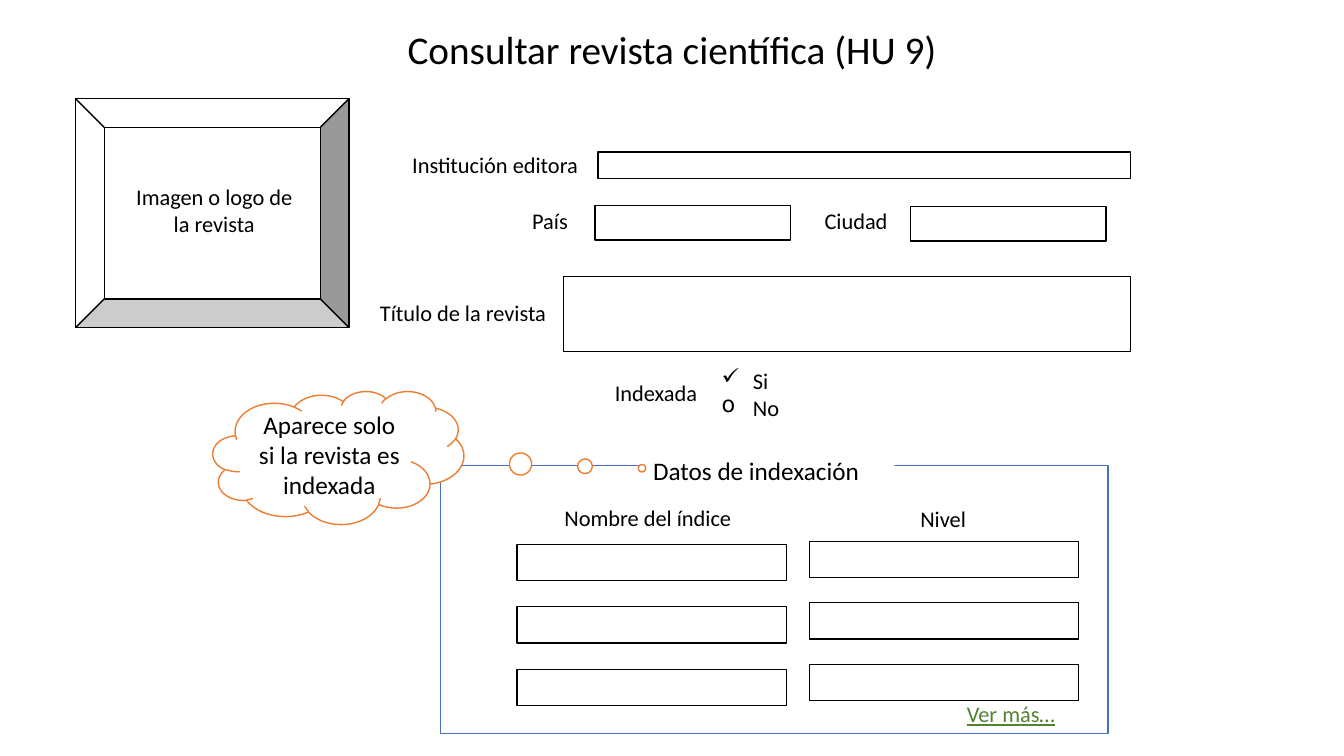
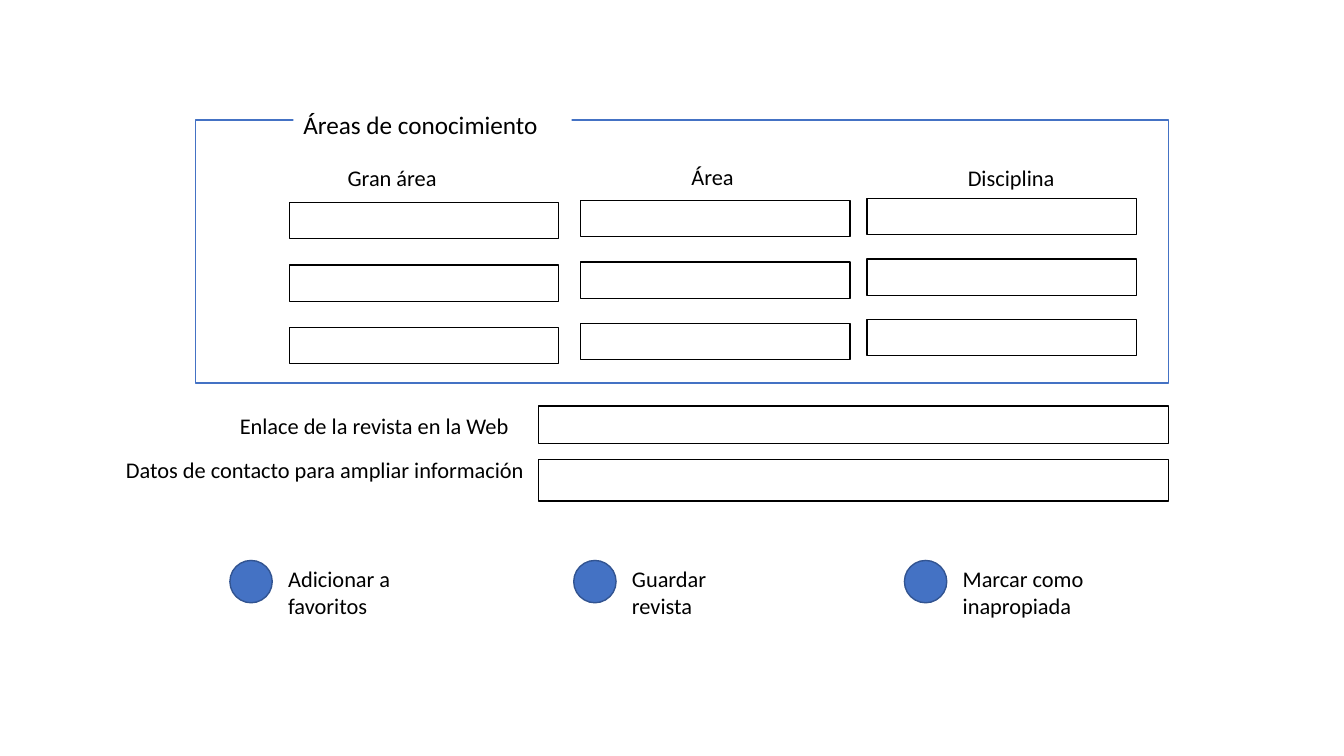
from lxml import etree
from pptx import Presentation
from pptx.dml.color import RGBColor
from pptx.enum.shapes import MSO_SHAPE
from pptx.enum.text import MSO_ANCHOR, MSO_AUTO_SIZE, PP_ALIGN
from pptx.oxml.ns import qn
from pptx.util import Inches, Pt

RECT, OVAL = MSO_SHAPE.RECTANGLE, MSO_SHAPE.OVAL
BEVEL, CLOUD = MSO_SHAPE.BEVEL, MSO_SHAPE.CLOUD_CALLOUT
TOP, MIDDLE = MSO_ANCHOR.TOP, MSO_ANCHOR.MIDDLE
LEFT, CENTER = PP_ALIGN.LEFT, PP_ALIGN.CENTER
NO_AUTOFIT = MSO_AUTO_SIZE.NONE

FONT = "Calibri"
BLACK, WHITE, BLUE, NAVY = "000000", "FFFFFF", "4472C4", "325491"
ORANGE, GREEN = "ED7D31", "548235"
SLIDE_W, SLIDE_H = 13.33, 7.5
TITLE_SIZE, LEGEND_SIZE, LABEL_SIZE = 28, 18, 16
LABEL_H, TWO_LINES_H, LEGEND_H = 0.37, 0.64, 0.4
CELL_W, CELL_H, CELL_ROWS = 2.67, 0.36, 3
DOT, DOT_GAP, ACTION_W = 0.42, 0.06, 1.4


def rgb(color):
    """Turn a hex string into a colour."""
    return RGBColor.from_string(color)


def inches(*lengths):
    """Convert lengths in inches to EMU."""
    return [Inches(n) for n in lengths]


def write(sp, text, size=LABEL_SIZE, color=BLACK, align=LEFT, anchor=TOP):
    """Set and format the text of a shape."""
    tf = sp.text_frame
    tf.text = text
    tf.word_wrap = True
    tf.auto_size = NO_AUTOFIT
    tf.vertical_anchor = anchor
    for p in tf.paragraphs:
        p.alignment = align
        for r in p.runs:
            r.font.name = FONT
            r.font.size = Pt(size)
            r.font.color.rgb = rgb(color)
    return tf


def label(s, box, text, **style):
    """Add a text box."""
    return write(s.shapes.add_textbox(*inches(*box)), text, **style)


def shape(s, box, kind=RECT, fill=WHITE, line=BLACK):
    """Add a flat filled shape, outlined unless line is None."""
    sp = s.shapes.add_shape(kind, *inches(*box))
    sp.shadow.inherit = False
    sp.fill.solid()
    sp.fill.fore_color.rgb = rgb(fill)
    if line:
        sp.line.color.rgb = rgb(line)
        sp.line.width = Pt(1)
    else:
        sp.line.fill.background()
    return sp


def title(s, text):
    """Place the slide title across the full width."""
    sp = s.shapes.title
    sp.left, sp.top, sp.width, sp.height = inches(0, 0.2, SLIDE_W, 0.57)
    write(sp, text, size=TITLE_SIZE, align=CENTER)


def form(s, x, y, rows):
    """Place labels, each with its entry field, from a corner."""
    for text, (lx, ly, lw), (fx, fy, fw, fh) in rows:
        label(s, (x + lx, y + ly, lw, LABEL_H), text)
        shape(s, (x + fx, y + fy, fw, fh))


def group(s, box, legend, legend_x, legend_w, columns):
    """Draw a framed group with a legend and columns of entry cells."""
    x, y = box[:2]
    shape(s, box, line=BLUE)
    sp = shape(s, (x + legend_x, y - 0.15, legend_w, LEGEND_H), line=None)
    write(sp, legend, size=LEGEND_SIZE)
    for heading, hx, hy, hw, cx, cy, pitch in columns:
        label(s, (x + hx, y + hy, hw, LABEL_H), heading)
        for row in range(CELL_ROWS):
            shape(s, (x + cx, y + cy + row * pitch, CELL_W, CELL_H))


def cover(s, box, text):
    """Draw a bevelled frame with a caption in its middle."""
    x, y, w, h = box
    shape(s, box, BEVEL)
    label(s, (x + 0.45, y + 0.79, w - 0.86, TWO_LINES_H), text, align=CENTER)


def options(s, x, y, heading, choices):
    """Place a heading and a list of choices with their own marks."""
    label(s, (x, y + 0.12, 1.06, LABEL_H), heading)
    texts = "\n".join(text for _, text in choices)
    tf = label(s, (x + 1.06, y, 0.8, TWO_LINES_H), texts)
    for p, (mark, _) in zip(tf.paragraphs, choices):
        pPr = p._p.get_or_add_pPr()
        pPr.set("marL", str(Inches(0.31)))
        pPr.set("indent", str(-Inches(0.31)))
        etree.SubElement(pPr, qn("a:buChar")).set("char", mark)


def callout(s, box, text, tail):
    """Draw a thought cloud whose tail ends at the given shares."""
    sp = shape(s, box, CLOUD, line=ORANGE)
    for i, share in enumerate(tail):
        sp.adjustments[i] = share
    write(sp, text, size=LEGEND_SIZE, align=CENTER, anchor=MIDDLE)


def action(s, x, y, text):
    """Place a round button with its caption."""
    shape(s, (x, y, DOT, DOT), OVAL, fill=BLUE, line=NAVY)
    label(s, (x + DOT + DOT_GAP, y, ACTION_W, TWO_LINES_H), text)


def journal_slide(prs):
    """Build the main form of the journal."""
    s = prs.slides.add_slide(prs.slide_layouts[5])
    title(s, "Consultar revista científica (HU 9)")
    cover(s, (0.75, 0.98, 2.71, 2.27), "Imagen o logo de la revista")
    form(s, 3.67, 1.45, [
        ("Institución editora", (0.32, 0, 2.17), (2.26, 0.06, 5.28, 0.26)),
        ("País", (1.51, 0.56, 0.7), (2.23, 0.59, 1.94, 0.34)),
        ("Ciudad", (4.41, 0.56, 0.9), (5.36, 0.6, 1.94, 0.34)),
        ("Título de la revista", (0, 1.47, 1.92), (1.92, 1.29, 5.62, 0.75)),
    ])
    options(s, 6, 3.59, "Indexada", [("✓", "Si"), ("o", "No")])
    group(s, (4.37, 4.62, 6.62, 2.66), "Datos de indexación", 2.01, 2.49, [
        ("Nombre del índice", 1.13, 0.33, 2.03, 0.76, 0.78, 0.62),
        ("Nivel", 4.66, 0.34, 0.76, 3.66, 0.75, 0.61),
    ])
    callout(s, (2.11, 3.88, 2.49, 1.32),
            "Aparece solo si la revista es indexada", (1.21, 0.08))
    more = label(s, (9.49, 6.9, 1.15, LABEL_H), "Ver más…", color=GREEN)
    more.paragraphs[0].runs[0].font.underline = True


def areas_slide(prs):
    """Build the knowledge areas, contact fields and actions."""
    s = prs.slides.add_slide(prs.slide_layouts[6])
    group(s, (1.94, 1.19, 9.65, 2.61), "Áreas de conocimiento", 0.97, 2.76, [
        ("Gran área", 1.41, 0.39, 1.4, 0.93, 0.82, 0.62),
        ("Área", 4.82, 0.38, 0.76, 3.82, 0.8, 0.61),
        ("Disciplina", 7.56, 0.39, 1.28, 6.66, 0.78, 0.6),
    ])
    form(s, 1.15, 4.03, [
        ("Enlace de la revista en la Web",
         (1.13, 0.01, 3), (4.19, 0, 6.25, 0.37)),
        ("Datos de contacto para ampliar información",
         (0, 0.45, 4.25), (4.19, 0.53, 6.25, 0.41)),
    ])
    for x, text in [(2.28, "Adicionar a favoritos"),
                    (5.69, "Guardar revista"),
                    (8.97, "Marcar como inapropiada")]:
        action(s, x, 5.56, text)


prs = Presentation()
prs.slide_width, prs.slide_height = inches(SLIDE_W, SLIDE_H)
journal_slide(prs)
areas_slide(prs)
prs.save("out.pptx")
